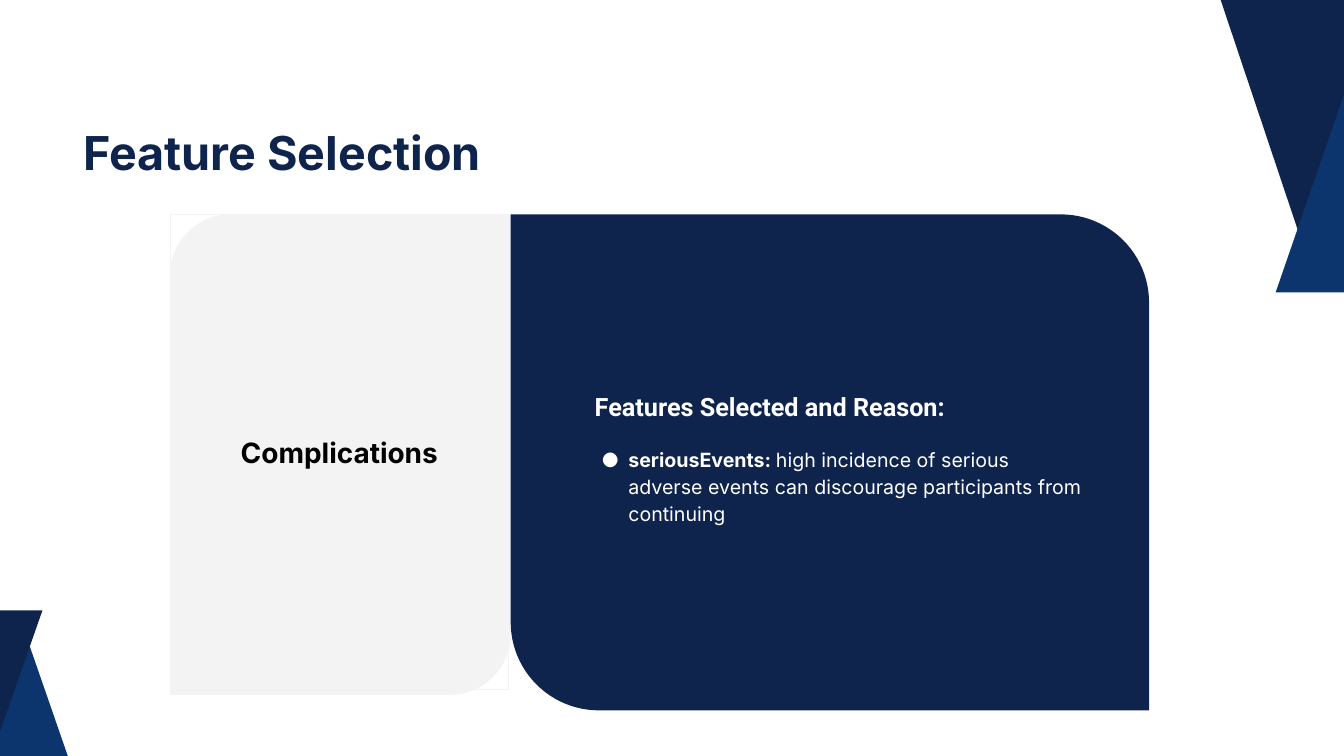
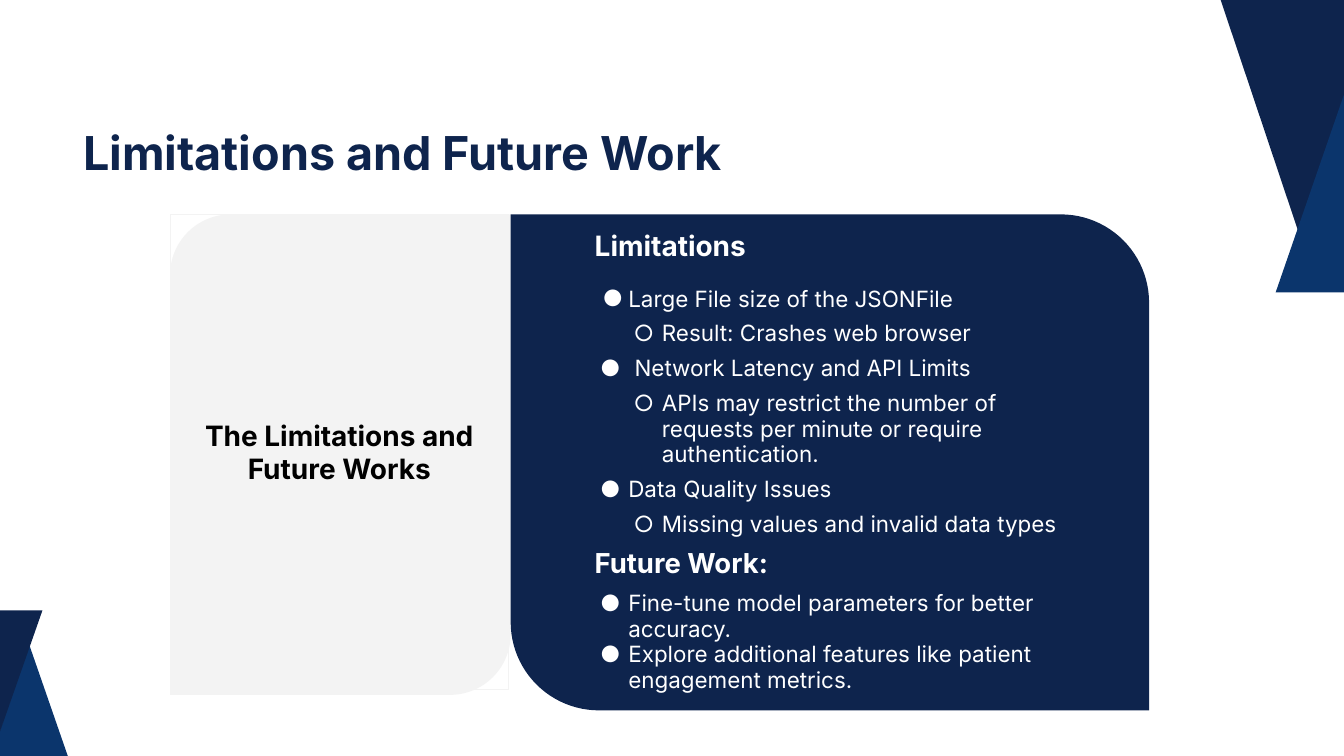
from dataclasses import dataclass
from typing import Optional

from lxml import etree
from pptx import Presentation
from pptx.dml.color import RGBColor
from pptx.enum.shapes import MSO_SHAPE
from pptx.enum.text import MSO_ANCHOR, MSO_AUTO_SIZE, PP_ALIGN
from pptx.oxml.ns import qn
from pptx.util import Pt

NAVY = RGBColor(0x0E, 0x24, 0x4D)
BLUE = RGBColor(0x0B, 0x35, 0x6C)
GREY = RGBColor(0xF3, 0xF3, 0xF3)
WHITE = RGBColor(0xFF, 0xFF, 0xFF)
BLACK = RGBColor(0x00, 0x00, 0x00)

RECTANGLE = MSO_SHAPE.RECTANGLE
DIAGONAL_ROUND = MSO_SHAPE.ROUND_2_DIAG_RECTANGLE
MIDDLE = MSO_ANCHOR.MIDDLE
CENTER = PP_ALIGN.CENTER
GROW = MSO_AUTO_SIZE.SHAPE_TO_FIT_TEXT

FONT = "Inter"
BULLETS = ("●", "○")
INDENT_STEP = 36
CORNER = 0.178
PANEL_TOP = 229.7
PANEL_HEIGHT = 531.4
BODY_LEFT, BODY_WIDTH = 622.8, 555.8
PADDING = 14.4

TRIANGLES = (
    (BLUE, ((31.5, 691.3), (89, 857.2), (-26, 857.2))),
    (NAVY, ((-0.2, 784.5), (-45.8, 653.9), (45.5, 653.9))),
    (NAVY, ((1394.6, 258.5), (1272.4, -105.8), (1516.9, -105.8))),
    (BLUE, ((1441.9, 95.8), (1517, 313.2), (1366.8, 313.2))),
)


@dataclass
class Line:
    """One paragraph: its (text, bold) runs and its format."""
    runs: tuple
    size: float
    font: str = FONT
    level: Optional[int] = None
    hanging: float = 30.2
    spacing: Optional[float] = 0.95
    before: float = 0
    after: float = 0


def heading(text, size, **options):
    """Return a bold line without a bullet."""
    return Line(((text, True),), size, **options)


def bullet(text, level=0, before=10, **options):
    """Return a plain bulleted line."""
    return Line(((text, False),), 24, level=level, before=before, **options)


FEATURES = (
    heading("Features Selected and Reason:", 27, font="Roboto", spacing=None),
    Line((("seriousEvents: ", True),
          ("high incidence of serious adverse events can discourage "
           "participants from continuing", False)),
         21, level=0, hanging=28.8, spacing=1.15, before=25, after=25),
)

LIMITATIONS = (
    heading("Limitations", 30),
    bullet("Large File size of the JSONFile", before=25, hanging=27.4),
    bullet("Result: Crashes web browser", 1),
    bullet(" Network Latency and API Limits"),
    bullet("APIs may restrict the number of requests per minute "
           "or require authentication.", 1),
    bullet("Data Quality Issues"),
    bullet("Missing values and invalid data types", 1),
    heading("Future Work:", 29.4, before=12),
    bullet("Fine-tune model parameters for better accuracy.", before=12),
    bullet("Explore additional features like patient engagement metrics.",
           before=0),
)


def paint(shape, color):
    """Fill a shape with a flat colour, without line or shadow."""
    shape.shadow.inherit = False
    shape.fill.solid()
    shape.fill.fore_color.rgb = color
    shape.line.fill.background()


def add_triangle(slide, color, points):
    """Draw a triangle through three points."""
    corners = [(Pt(x), Pt(y)) for x, y in points]
    builder = slide.shapes.build_freeform(*corners[0])
    builder.add_line_segments(corners[1:], close=True)
    paint(builder.convert_to_shape(), color)


def add_panel(slide, left, width, height, color, corners):
    """Draw a panel with one pair of opposite corners rounded."""
    shape = slide.shapes.add_shape(
        DIAGONAL_ROUND, Pt(left), Pt(PANEL_TOP), Pt(width), Pt(height))
    shape.adjustments[0], shape.adjustments[1] = corners
    paint(shape, color)


def set_frame(shape, padding):
    """Set wrapping and equal margins, and return the text frame."""
    frame = shape.text_frame
    frame.word_wrap = True
    frame.margin_left = frame.margin_right = Pt(padding)
    frame.margin_top = frame.margin_bottom = Pt(padding)
    return frame


def add_run(paragraph, text, size, color, bold, font=FONT):
    """Append one formatted run."""
    run = paragraph.add_run()
    run.text = text
    run.font.name = font
    run.font.size = Pt(size)
    run.font.bold = bold
    run.font.color.rgb = color


def add_bullet(paragraph, level, hanging):
    """Give a paragraph the bullet and hanging indent of its level."""
    paragraph.level = level
    properties = paragraph._p.get_or_add_pPr()
    properties.set("marL", str(Pt(INDENT_STEP * (level + 1))))
    properties.set("indent", str(-Pt(hanging)))
    color = etree.SubElement(properties, qn("a:buClr"))
    etree.SubElement(color, qn("a:srgbClr"), val=str(WHITE))
    etree.SubElement(properties, qn("a:buFont"), typeface=FONT)
    etree.SubElement(properties, qn("a:buChar"), char=BULLETS[level])


def add_title(slide, text):
    """Write the slide title."""
    box = slide.shapes.add_textbox(Pt(89.3), Pt(126.7), Pt(1165.7), Pt(60.5))
    frame = set_frame(box, 0)
    frame.auto_size = GROW
    paragraph = frame.paragraphs[0]
    paragraph.line_spacing = 1.1
    add_run(paragraph, text, 50, NAVY, True)


def add_topic(slide, text):
    """Write the topic in a thinly outlined box over the grey panel."""
    shape = slide.shapes.add_shape(
        RECTANGLE, Pt(182.2), Pt(PANEL_TOP), Pt(362.9), Pt(509))
    shape.shadow.inherit = False
    shape.fill.background()
    shape.line.color.rgb = GREY
    shape.line.width = Pt(0.75)
    frame = set_frame(shape, PADDING)
    frame.vertical_anchor = MIDDLE
    paragraph = frame.paragraphs[0]
    paragraph.alignment = CENTER
    add_run(paragraph, text, 30, BLACK, True)


def add_body(slide, lines, top):
    """Write the lines over the navy panel."""
    box = slide.shapes.add_textbox(
        Pt(BODY_LEFT), Pt(top), Pt(BODY_WIDTH), Pt(PANEL_HEIGHT))
    frame = set_frame(box, PADDING)
    frame.vertical_anchor = MIDDLE
    for index, line in enumerate(lines):
        paragraph = frame.add_paragraph() if index else frame.paragraphs[0]
        if line.level is not None:
            add_bullet(paragraph, line.level, line.hanging)
        paragraph.line_spacing = line.spacing
        paragraph.space_before = Pt(line.before)
        paragraph.space_after = Pt(line.after)
        for text, bold in line.runs:
            add_run(paragraph, text, line.size, WHITE, bold, line.font)


def add_topic_slide(presentation, title, topic, lines, body_top=PANEL_TOP):
    """Build a slide with a topic panel beside a detail panel."""
    slide = presentation.slides.add_slide(presentation.slide_layouts[6])
    slide.background.fill.solid()
    slide.background.fill.fore_color.rgb = WHITE
    add_title(slide, title)
    for color, points in TRIANGLES:
        add_triangle(slide, color, points)
    add_panel(slide, 182.2, 365, 514.8, GREY, (CORNER, 0))
    add_topic(slide, topic)
    add_panel(slide, 547.2, 684, PANEL_HEIGHT, NAVY, (0, CORNER))
    add_body(slide, lines, body_top)


def main():
    """Build and save the presentation."""
    presentation = Presentation()
    presentation.slide_width = Pt(1440)
    presentation.slide_height = Pt(810)
    add_topic_slide(presentation, "Feature Selection", "Complications",
                    FEATURES, body_top=225.4)
    add_topic_slide(presentation, "Limitations and Future Work",
                    "The Limitations and Future Works", LIMITATIONS)
    presentation.save("out.pptx")


if __name__ == "__main__":
    main()
